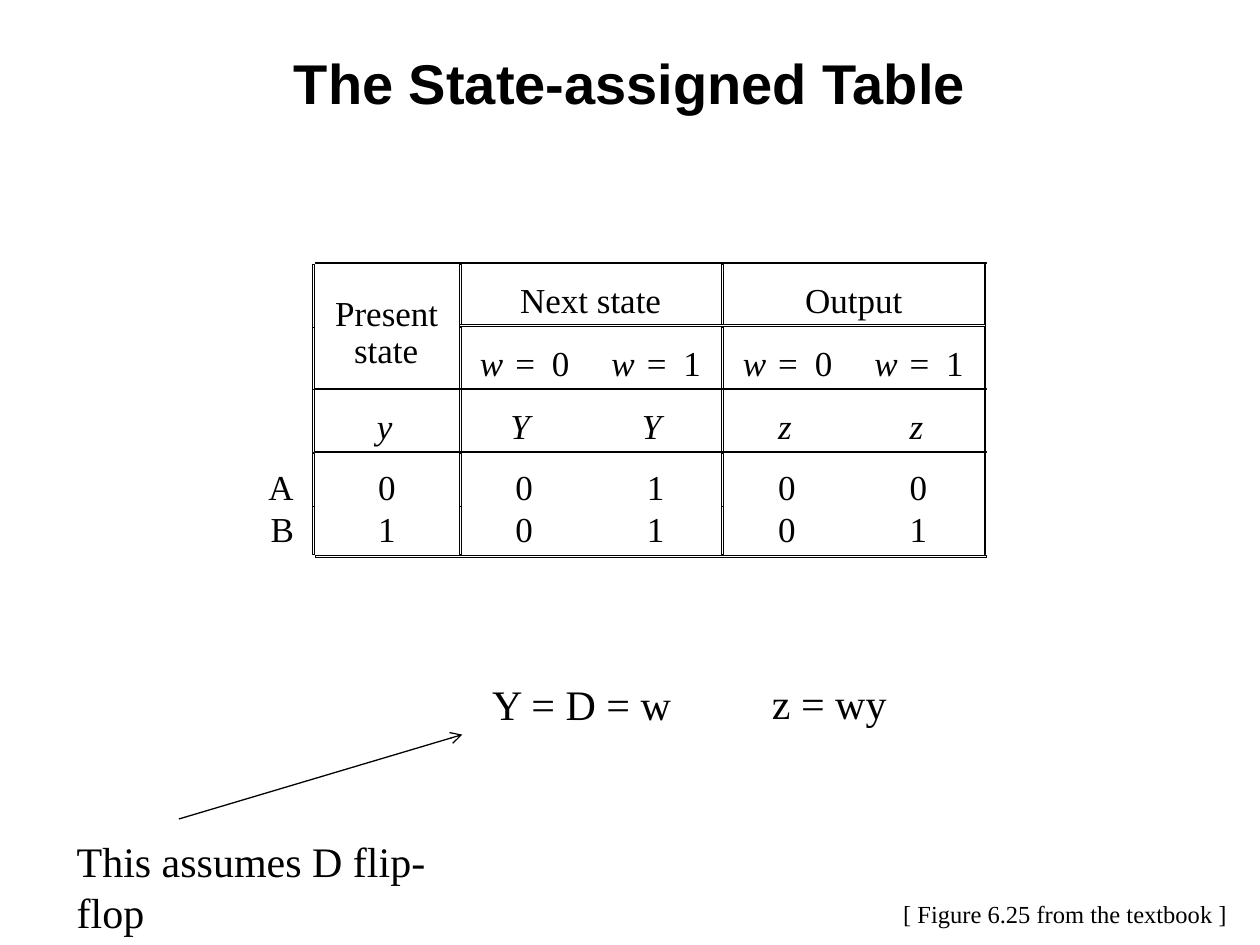
from lxml.etree import SubElement
from pptx import Presentation
from pptx.dml.color import RGBColor
from pptx.enum.shapes import MSO_CONNECTOR as Conn, MSO_SHAPE as Kind
from pptx.enum.text import MSO_ANCHOR as Anchor, MSO_AUTO_SIZE as Auto, PP_ALIGN as Align
from pptx.oxml.ns import qn
from pptx.util import Pt


def tint(code):
    return RGBColor.from_string(code)


class Page:
    ink, paper, face = "000000", "FFFFFF", "Times New Roman"

    def __init__(self, slide):
        self.slide = slide
        self.shapes = slide.shapes

    def group(self):
        self.shapes = self.slide.shapes.add_group_shape().shapes

    def leave(self):
        self.shapes = self.slide.shapes

    def text(self, words, x, y, w, h, pad=(7.2, 3.6), wrap=False,
             auto=Auto.SHAPE_TO_FIT_TEXT, align=Align.LEFT, **style):
        box = self.shapes.add_textbox(Pt(x), Pt(y), Pt(w), Pt(h))
        frame = box.text_frame
        side, edge = map(Pt, pad)
        look = {"margin_left": side, "margin_right": side, "margin_top": edge,
                "margin_bottom": edge, "word_wrap": wrap, "auto_size": auto,
                "vertical_anchor": Anchor.TOP}
        for name, value in look.items():
            setattr(frame, name, value)
        par = frame.paragraphs[0]
        par.alignment = align
        run = par.add_run()
        run.text = words
        for name, value in {"name": self.face, "size": Pt(20), **style}.items():
            setattr(run.font, name, value)
        run.font.color.rgb = tint(self.ink)

    def cell(self, words, x, y, w, **style):
        self.text(words, x, y, w, 24, pad=(0, 0), **style)

    def rule(self, x, y, w, h):
        bar = self.shapes.add_shape(Kind.RECTANGLE, Pt(x), Pt(y), Pt(w), Pt(h))
        bar.shadow.inherit = False
        bar.fill.solid()
        bar.fill.fore_color.rgb = tint(self.paper)
        bar.line.color.rgb = tint(self.ink)
        bar.line.width = Pt(0.5)

    def arrow(self, x, y, end_x, end_y):
        line = self.shapes.add_connector(Conn.STRAIGHT, Pt(x), Pt(y), Pt(end_x), Pt(end_y))
        line.line.color.rgb = tint(self.ink)
        line.line.width = Pt(0.75)
        SubElement(line.line._get_or_add_ln(), qn("a:tailEnd"), type="arrow")
        SubElement(line._element.spPr, qn("a:effectLst"))


def grid(page):
    left, first, span, thick = 178.6, 262.7, 149.8, 0.9
    cols = [left] + [first + span * i for i in range(3)]
    bands = [(151.2, 36), (187.2, 36), (222.5, 36), (259.2, 31.7), (289.4, 27.4)]
    for y, high in bands:
        for x in cols:
            page.rule(x, y, thick, high)
    for y in (149.8, 221.8, 257.8, 317.5):
        page.rule(180.4, y, 383.4, thick)
    page.rule(first, 185.6, 300.5, thick)

    for words, x, y, w in [("Present", 191.5, 166.3, 64), ("state", 202.3, 187.9, 41.8),
                           ("Next state", 297.2, 159.1, 88), ("Output", 460, 159.1, 62)]:
        page.cell(words, x, y, w)

    mid, step = 294.5, 75.1
    spots = [mid + step * i for i in range(4)]
    for x, bit in zip(spots, "0101"):
        page.cell("w", x - 20.2, 195.1, 18.7, italic=True)
        page.cell("=", x, 195.1, 16.6)
        page.cell(bit, x + 20.9, 195.1, 15.1)

    page.cell("y", 215.3, 231.1, 13.7, italic=True)
    for x, name, shift, w in zip(spots, "YYzz", (-2.8, -2.8, 0, 0), (16.6, 16.6, 13, 13)):
        page.cell(name, x + shift, 231.1, w, italic=True)

    for tag, x, y, bits in [("A", 153.4, 266.1, "00100"), ("B", 154.6, 290.2, "10101")]:
        page.cell(tag, x, y, 19)
        for place, bit in zip([216] + spots, bits):
            page.cell(bit, place, y, 15.1)


def main():
    deck = Presentation()
    deck.slide_width, deck.slide_height = Pt(720), Pt(540)
    page = Page(deck.slides.add_slide(deck.slide_layouts[6]))
    page.text("The State-assigned Table", 0, 24, 720, 54, wrap=True, auto=Auto.NONE,
              align=Align.CENTER, name="Arial", size=Pt(32), bold=True)
    page.group()
    grid(page)
    page.leave()
    page.text("[ Figure 6.25 from the textbook ]", 509, 510, 199.4, 24.5, size=Pt(14))
    page.text("Y = D = w", 274.2, 384, 117.4, 36, size=Pt(24))
    page.text("z = wy", 434, 383.8, 79.9, 36, size=Pt(24))
    page.arrow(102.2, 468, 264.2, 419.8)
    page.text("This assumes D flip-flop", 36.7, 474, 220, 36, wrap=True, size=Pt(24))
    deck.save("out.pptx")


if __name__ == "__main__":
    main()
